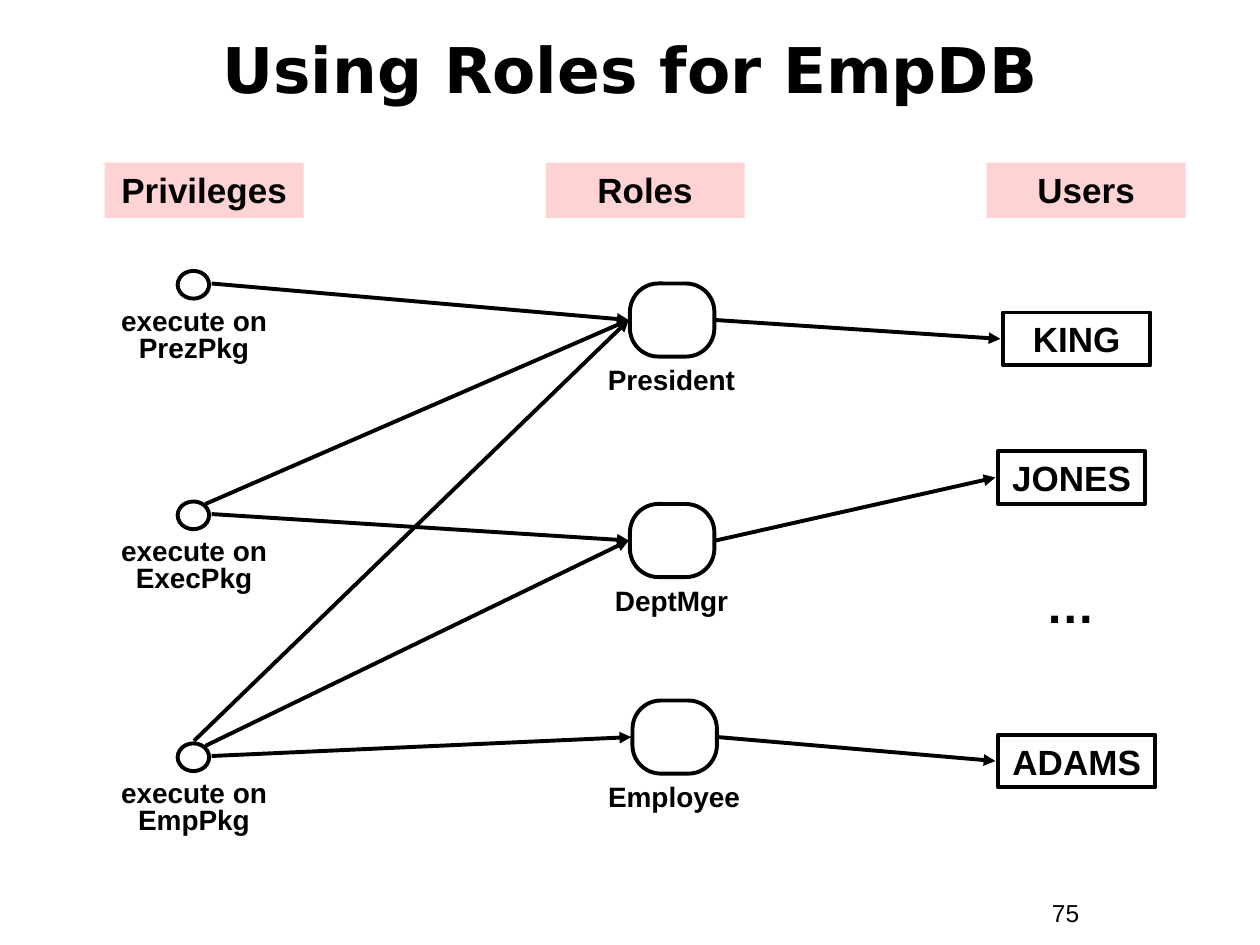
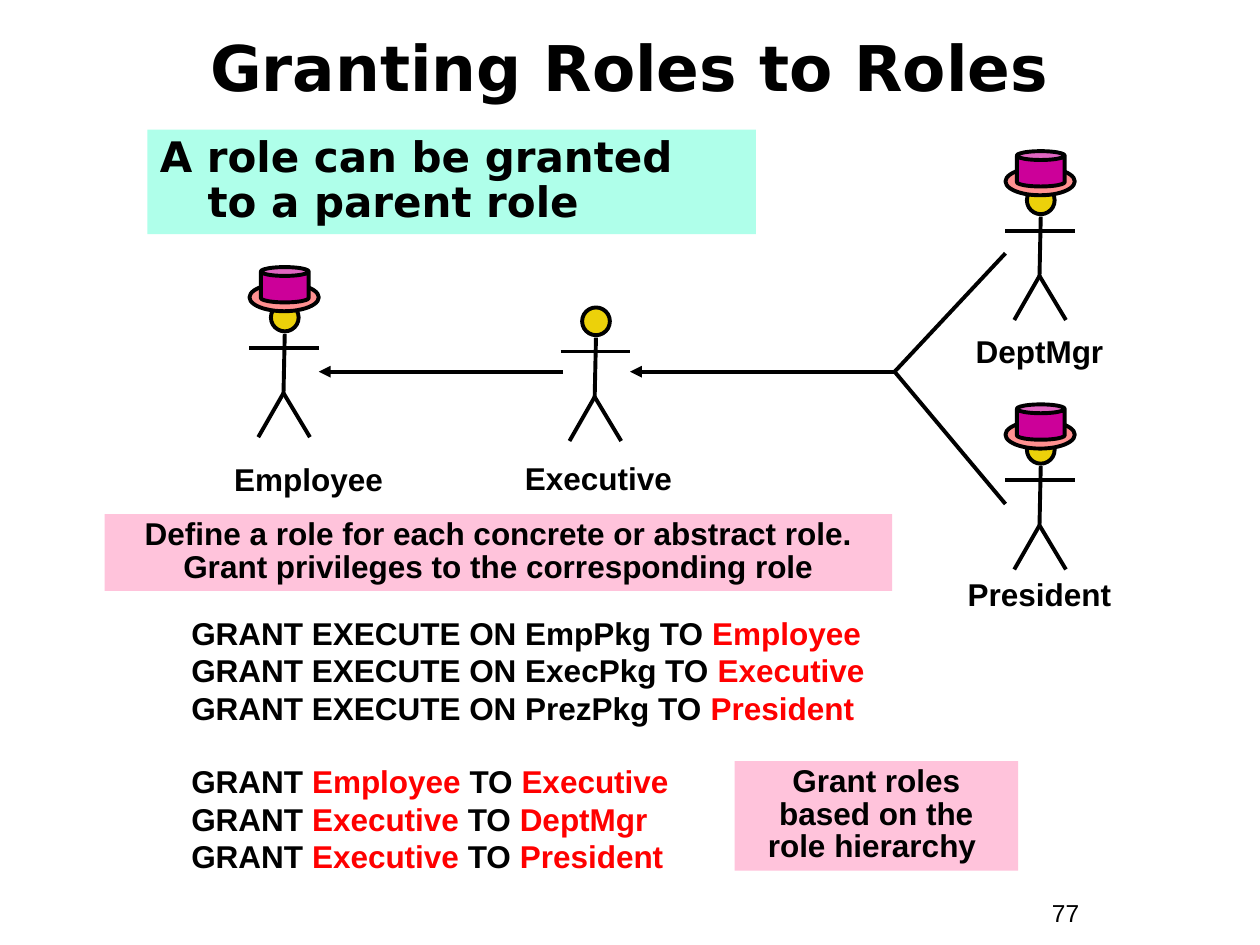
"""Build two slides on database roles: a privilege map and a role hierarchy."""
from lxml.etree import SubElement
from pptx import Presentation
from pptx.dml.color import RGBColor
from pptx.enum.shapes import MSO_CONNECTOR, MSO_SHAPE as Shape
from pptx.enum.text import MSO_ANCHOR as Anchor, MSO_AUTO_SIZE, PP_ALIGN as Align
from pptx.oxml.ns import qn
from pptx.util import Inches, Pt

BLACK = RGBColor(0x00, 0x00, 0x00)
RED = RGBColor(0xFF, 0x00, 0x00)
HEADING_PINK = RGBColor(0xFF, 0xD3, 0xD3)
NOTE_PINK = RGBColor(0xFF, 0xC3, 0xDB)
MINT = RGBColor(0xAF, 0xFF, 0xEA)
SKIN = RGBColor(0xEC, 0xD1, 0x0A)
BRIM = RGBColor(0xFF, 0x91, 0x91)
HAT = RGBColor(0xCC, 0x00, 0x99)
BODY_FONT = "Arial"
TITLE_FONT = "DejaVu Sans"
LINE_WIDTH = Pt(2.25)
TITLE_ONLY = 5


def write(box, *paragraphs, size=18, font=BODY_FONT, bold=True, align=Align.CENTER,
          anchor=Anchor.TOP, spacing=1.0, gaps=(), margin=0, hanging=0, wrap=True):
    """Write paragraphs into a box; text between asterisks turns red."""
    frame = box.text_frame
    frame.auto_size = MSO_AUTO_SIZE.NONE
    frame.word_wrap = wrap
    frame.vertical_anchor = anchor
    frame.margin_left = frame.margin_right = Inches(0.1)
    frame.margin_top = frame.margin_bottom = Inches(0.05)
    for number, text in enumerate(paragraphs):
        para = frame.add_paragraph() if number else frame.paragraphs[0]
        para.alignment = align
        para.line_spacing = spacing
        para.space_before = Pt(gaps[number] if gaps else 0)
        properties = para._p.get_or_add_pPr()
        properties.set("marL", str(Inches(margin)))
        properties.set("indent", str(Inches(-hanging)))
        for row, line in enumerate(text.split("\n")):
            if row:
                para.add_line_break()
            for index, part in enumerate(line.split("*")):
                if part:
                    span = para.add_run()
                    span.text = part
                    span.font.name = font
                    span.font.size = Pt(size)
                    span.font.bold = bold
                    span.font.color.rgb = RED if index % 2 else BLACK


def add_label(page, left, top, width, height, *paragraphs, **style):
    """Add a plain text box."""
    area = map(Inches, (left, top, width, height))
    write(page.shapes.add_textbox(*area), *paragraphs, **style)


def add_figure(shapes, kind, left, top, width, height, fill=None, outline=True):
    """Add a preset shape with an optional fill and black outline."""
    figure = shapes.add_shape(kind, *map(Inches, (left, top, width, height)))
    figure.shadow.inherit = False
    if fill is None:
        figure.fill.background()
    else:
        figure.fill.solid()
        figure.fill.fore_color.rgb = fill
    if outline:
        figure.line.color.rgb = BLACK
        figure.line.width = LINE_WIDTH
    else:
        figure.line.fill.background()
    return figure


def add_panel(page, left, top, width, height, text, fill, **style):
    """Add a filled, unlined rectangle with text."""
    panel = add_figure(page.shapes, Shape.RECTANGLE, left, top, width, height, fill, outline=False)
    write(panel, text, **style)


def add_line(shapes, start, end, arrow=False):
    """Draw a straight black line, with an arrowhead at its end if asked."""
    line = shapes.add_connector(MSO_CONNECTOR.STRAIGHT, *map(Inches, (*start, *end)))
    line.line.color.rgb = BLACK
    line.line.width = LINE_WIDTH
    if arrow:
        SubElement(line.line._get_or_add_ln(), qn("a:tailEnd"), type="triangle")
    SubElement(line._element.spPr, qn("a:effectLst"))


def add_person(page, center, top, brim_top=None):
    """Draw a grouped stick figure, with a hat when its brim is placed."""
    shapes = page.shapes.add_group_shape().shapes
    add_figure(shapes, Shape.OVAL, center - 0.11, top, 0.22, 0.22, SKIN)
    hip = (center - 0.01, top + 0.71)
    add_line(shapes, (center, top + 0.24), hip)
    for foot in (center - 0.21, center + 0.2):
        add_line(shapes, (foot, top + 1.06), hip)
    add_line(shapes, (center - 0.28, top + 0.35), (center + 0.27, top + 0.35))
    if brim_top is not None:
        add_figure(shapes, Shape.OVAL, center - 0.28, brim_top, 0.55, 0.22, BRIM)
        crown = add_figure(shapes, Shape.CAN, center - 0.19, brim_top - 0.13, 0.38, 0.28, HAT)
        crown.adjustments[0] = 0.25


def add_page(deck, title, number, left, top, width, height):
    """Add a slide with the shared title style and page number."""
    page = deck.slides.add_slide(deck.slide_layouts[TITLE_ONLY])
    heading = page.shapes.title
    heading.left, heading.top = Inches(left), Inches(top)
    heading.width, heading.height = Inches(width), Inches(height)
    write(heading, title, size=36, font=TITLE_FONT, anchor=Anchor.MIDDLE)
    add_label(page, 8.25, 7.08, 0.92, 0.34, str(number), size=14, bold=False, align=Align.LEFT)
    return page


def build_privilege_map(deck):
    """Map privileges to roles and roles to users."""
    page = add_page(deck, "Using Roles for EmpDB", 75, 0.75, 0.33, 8.5, 0.42)
    for column, heading in enumerate(("Privileges", "Roles", "Users")):
        add_panel(page, 0.83 + 3.5 * column, 1.29, 1.58, 0.44, heading, HEADING_PINK, size=20)

    privileges = {"PrezPkg": 2.15, "ExecPkg": 3.98, "EmpPkg": 5.9}
    for package_name, top in privileges.items():
        add_figure(page.shapes, Shape.OVAL, 1.41, top, 0.25, 0.22)
        add_label(page, 0.54, top + 0.26, 2, 0.53, f"execute on\n{package_name}",
                  size=16, spacing=0.8)

    roles = {"President": (5, 2.25), "DeptMgr": (5, 4), "Employee": (5.02, 5.56)}
    for role, (left, top) in roles.items():
        node = add_figure(page.shapes, Shape.ROUNDED_RECTANGLE, left, top, 0.67, 0.58)
        node.adjustments[0] = 0.389
        add_label(page, left - 0.42, top + 0.58, 1.5, 0.37, role, size=16)

    users = (("KING", 7.96, 2.48, 1.17, "President"),
             ("JONES", 7.92, 3.58, 1.17, "DeptMgr"),
             ("ADAMS", 7.92, 5.83, 1.25, "Employee"))
    for user, left, top, width, role in users:
        box = add_figure(page.shapes, Shape.RECTANGLE, left, top, width, 0.42)
        write(box, user, size=20, anchor=Anchor.MIDDLE, wrap=False)
        role_left, role_top = roles[role]
        add_line(page.shapes, (role_left + 0.68, role_top + 0.29), (left - 0.02, top + 0.21),
                 arrow=True)
    add_label(page, 7.83, 4.58, 1.33, 0.5, "…", size=28, spacing=0.85)

    right, upper_right, upper = (1.68, 0.1), (1.63, 0.02), (1.54, -0.02)
    grants = (("PrezPkg", right, "President"), ("ExecPkg", upper_right, "President"),
              ("EmpPkg", upper, "President"), ("ExecPkg", right, "DeptMgr"),
              ("EmpPkg", upper_right, "DeptMgr"), ("EmpPkg", right, "Employee"))
    for package_name, (x, drop), role in grants:
        left, top = roles[role]
        add_line(page.shapes, (x, privileges[package_name] + drop), (left - 0.01, top + 0.29),
                 arrow=True)


def build_role_hierarchy(deck):
    """Show the role hierarchy and the grants that set it up."""
    page = add_page(deck, "Granting Roles to Roles", 77, 0.33, 0.15, 9.33, 0.75)
    add_panel(page, 1.17, 1.03, 4.83, 0.83, "A role can be granted \nto a parent role", MINT,
              size=24, font=TITLE_FONT, align=Align.LEFT, spacing=0.9, margin=0.38, hanging=0.38)
    add_label(page, 0.92, 4.87, 8.17, 2.07,
              "GRANT EXECUTE ON EmpPkg TO *Employee*",
              "GRANT EXECUTE ON ExecPkg TO *Executive*",
              "GRANT EXECUTE ON PrezPkg TO *President*",
              "GRANT *Employee* TO *Executive*",
              "GRANT *Executive* TO *DeptMgr*",
              "GRANT *Executive* TO *President*",
              align=Align.LEFT, spacing=0.85, gaps=(0, 3, 3, 23.6, 3, 3), margin=0.5)
    add_panel(page, 0.83, 4.08, 6.25, 0.61,
              "Define a role for each concrete or abstract role.\n"
              "Grant privileges to the corresponding role", NOTE_PINK, spacing=0.85)
    add_panel(page, 5.83, 6.04, 2.25, 0.87, "Grant roles based on the role hierarchy ",
              NOTE_PINK, spacing=0.85)

    people = (("Employee", 2.26, 2.41, 2.25, 1.7, 3.65, 1.5),
              ("Executive", 4.73, 2.44, None, 4, 3.64, 1.5),
              ("DeptMgr", 8.26, 1.48, 1.33, 7.25, 2.63, 2),
              ("President", 8.26, 3.46, 3.34, 7.25, 4.56, 2))
    for role, center, top, brim_top, left, label_top, width in people:
        add_person(page, center, top, brim_top)
        add_label(page, left, label_top, width, 0.36, role, spacing=0.85)

    fork = (7.1, 2.95)
    for branch in ((7.98, 2.01), (7.98, 4)):
        add_line(page.shapes, fork, branch)
    add_line(page.shapes, fork, (5, 2.95), arrow=True)
    add_line(page.shapes, (4.47, 2.95), (2.53, 2.95), arrow=True)


def main():
    """Build and save the deck."""
    deck = Presentation()
    deck.slide_width, deck.slide_height = Inches(10), Inches(7.5)
    build_privilege_map(deck)
    build_role_hierarchy(deck)
    deck.save("out.pptx")


if __name__ == "__main__":
    main()
